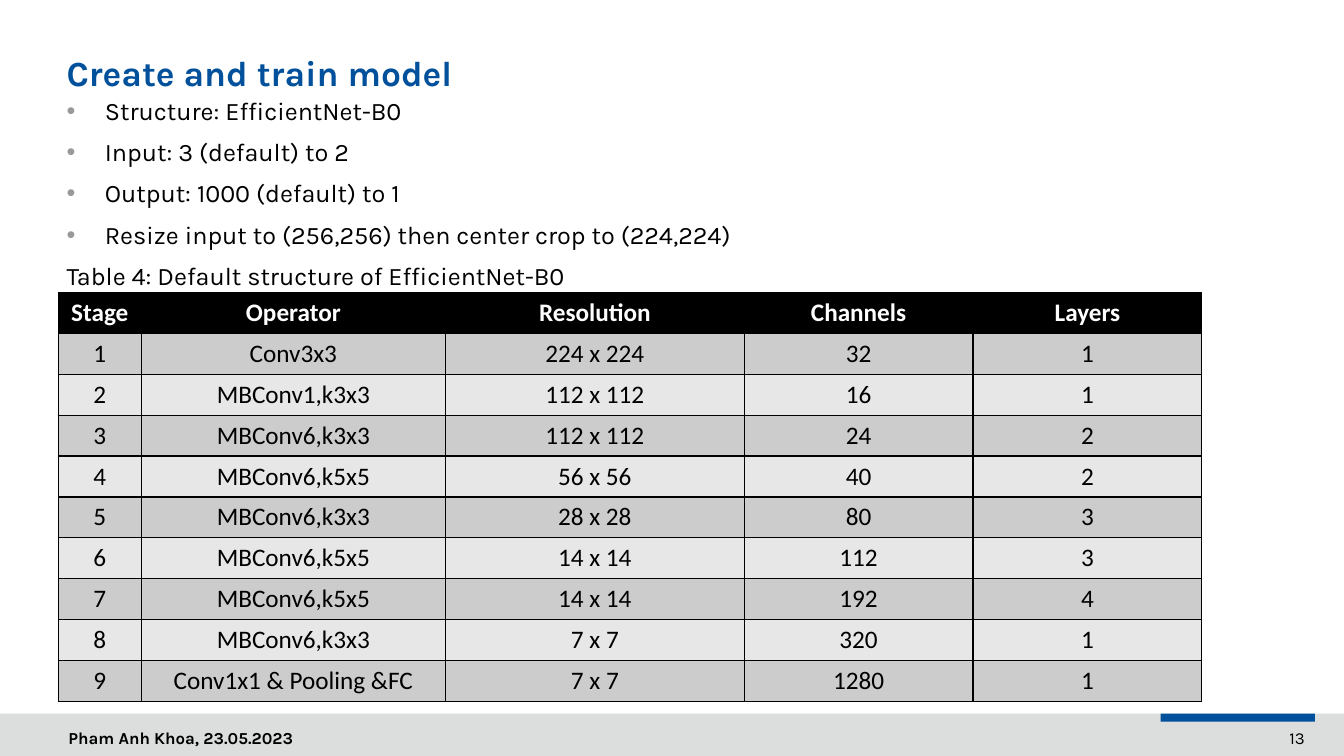
from lxml.etree import SubElement
from pptx import Presentation
from pptx.dml.color import RGBColor
from pptx.enum.shapes import MSO_SHAPE
from pptx.enum.text import MSO_ANCHOR, PP_ALIGN
from pptx.oxml.ns import qn
from pptx.util import Inches, Pt

WIDTH, HEIGHT = Inches(13.33), Inches(7.5)
COLOURS = {
    "text": "000000", "accent": "00509B", "footer": "DCDEDE",
    "bullet": "999999", "header": "000000", "header_text": "FFFFFF",
    "odd_row": "CCCCCC", "even_row": "E7E7E7", "border": "000000",
}
LEFT = 4.35
CONTENT_WIDTH = 88.82
FOOTER_TOP = 94.4
FOOTER_TEXT_TOP = 95.6
BULLETS = [
    "Structure: EfficientNet-B0",
    "Input: 3 (default) to 2",
    "Output: 1000 (default) to 1",
    "Resize input to (256,256) then center crop to (224,224)",
]
CAPTION = "Table 4: Default structure of EfficientNet-B0"
COLUMN_SHARES = [6.15, 22.66, 22.21, 17.03, 17.03]
HEADINGS = ["Stage", "Operator", "Resolution", "Channels", "Layers"]
STAGES = [
    ("Conv3x3", 224, 32, 1),
    ("MBConv1,k3x3", 112, 16, 1),
    ("MBConv6,k3x3", 112, 24, 2),
    ("MBConv6,k5x5", 56, 40, 2),
    ("MBConv6,k3x3", 28, 80, 3),
    ("MBConv6,k5x5", 14, 112, 3),
    ("MBConv6,k5x5", 14, 192, 4),
    ("MBConv6,k3x3", 7, 320, 1),
    ("Conv1x1 & Pooling &FC", 7, 1280, 1),
]


def colour(name):
    return RGBColor.from_string(COLOURS[name])


def across(percent):
    return round(WIDTH * percent / 100)


def down(percent):
    return round(HEIGHT * percent / 100)


def area(left, top, width, height):
    return across(left), down(top), across(width), down(height)


def write(para, text, size=18, font="Karla", ink="text", bold=False,
          align=PP_ALIGN.LEFT, line=None, before=None):
    para.alignment = align
    para.line_spacing = line
    if before is not None:
        para.space_before = Pt(before)
    span = para.add_run()
    span.text = text
    span.font.size = Pt(size)
    span.font.name = font
    span.font.bold = bold
    span.font.color.rgb = colour(ink)


def add_bullet(para):
    properties = para._p.get_or_add_pPr()
    properties.set("marL", str(Inches(0.38)))
    properties.set("indent", str(-Inches(0.38)))
    tint = SubElement(properties, qn("a:buClr"))
    SubElement(tint, qn("a:srgbClr")).set("val", COLOURS["bullet"])
    SubElement(properties, qn("a:buFont")).set("typeface", "Arial")
    SubElement(properties, qn("a:buChar")).set("char", "•")


def add_frame(page, place, insets=(0.1, 0.05, 0.1, 0.05), anchor=MSO_ANCHOR.TOP):
    frame = page.shapes.add_textbox(*area(*place)).text_frame
    frame.word_wrap = True
    frame.vertical_anchor = anchor
    (frame.margin_left, frame.margin_top,
     frame.margin_right, frame.margin_bottom) = map(Inches, insets)
    return frame


def add_label(page, place, text, **style):
    write(add_frame(page, place).paragraphs[0], text, **style)


def add_bar(page, place, fill):
    bar = page.shapes.add_shape(MSO_SHAPE.RECTANGLE, *area(*place))
    bar.shadow.inherit = False
    bar.fill.solid()
    bar.fill.fore_color.rgb = colour(fill)
    bar.line.fill.background()


def add_title(page, text):
    frame = add_frame(page, (LEFT, 7.2, CONTENT_WIDTH, 5.2),
                      (0.08, 0.05, 0.1, 0), MSO_ANCHOR.BOTTOM)
    write(frame.paragraphs[0], text, size=25.2, ink="accent", bold=True, line=0.9)


def add_body(page):
    frame = add_frame(page, (LEFT, 12.4, CONTENT_WIDTH, 75.07),
                      (0.08, 0.05, 0.1, 0.05))
    for index, text in enumerate(BULLETS + [CAPTION]):
        para = frame.add_paragraph() if index else frame.paragraphs[0]
        if text != CAPTION:
            add_bullet(para)
        write(para, text, line=0.9, before=10 if index else 0)


def add_borders(cell):
    properties = cell._tc.get_or_add_tcPr()
    for side in ("lnL", "lnR", "lnT", "lnB"):
        edge = SubElement(properties, qn(f"a:{side}"))
        edge.set("w", str(Pt(1)))
        fill = SubElement(edge, qn("a:solidFill"))
        SubElement(fill, qn("a:srgbClr")).set("val", COLOURS["border"])


def add_structure_table(page):
    rows = [HEADINGS] + [
        (stage, operator, f"{side} x {side}", channels, layers)
        for stage, (operator, side, channels, layers) in enumerate(STAGES, 1)
    ]
    table = page.shapes.add_table(
        len(rows), len(HEADINGS),
        *area(LEFT, 38.67, sum(COLUMN_SHARES), 54.13)).table
    table.horz_banding = False
    for column, share in zip(table.columns, COLUMN_SHARES):
        column.width = across(share)
    for row, values in enumerate(rows):
        heading = row == 0
        fill = "header" if heading else "odd_row" if row % 2 else "even_row"
        for column, value in enumerate(values):
            cell = table.cell(row, column)
            add_borders(cell)
            cell.fill.solid()
            cell.fill.fore_color.rgb = colour(fill)
            write(cell.text_frame.paragraphs[0], str(value), font="Calibri",
                  ink="header_text" if heading else "text", bold=heading,
                  align=PP_ALIGN.CENTER)


def add_footer(page):
    add_bar(page, (0, FOOTER_TOP, 100, 5.6), "footer")
    add_label(page, (83.2, FOOTER_TEXT_TOP, 14.63, 4.4), "13",
              size=12, align=PP_ALIGN.RIGHT)
    add_bar(page, (86.35, FOOTER_TOP, 11.48, 1.07), "accent")
    add_label(page, (LEFT, FOOTER_TEXT_TOP, 54.76, 4.4),
              "Pham Anh Khoa, 23.05.2023", size=12, bold=True)


def main():
    deck = Presentation()
    deck.slide_width, deck.slide_height = WIDTH, HEIGHT
    page = deck.slides.add_slide(deck.slide_layouts[6])
    add_footer(page)
    add_title(page, "Create and train model")
    add_body(page)
    add_structure_table(page)
    deck.save("out.pptx")


if __name__ == "__main__":
    main()
